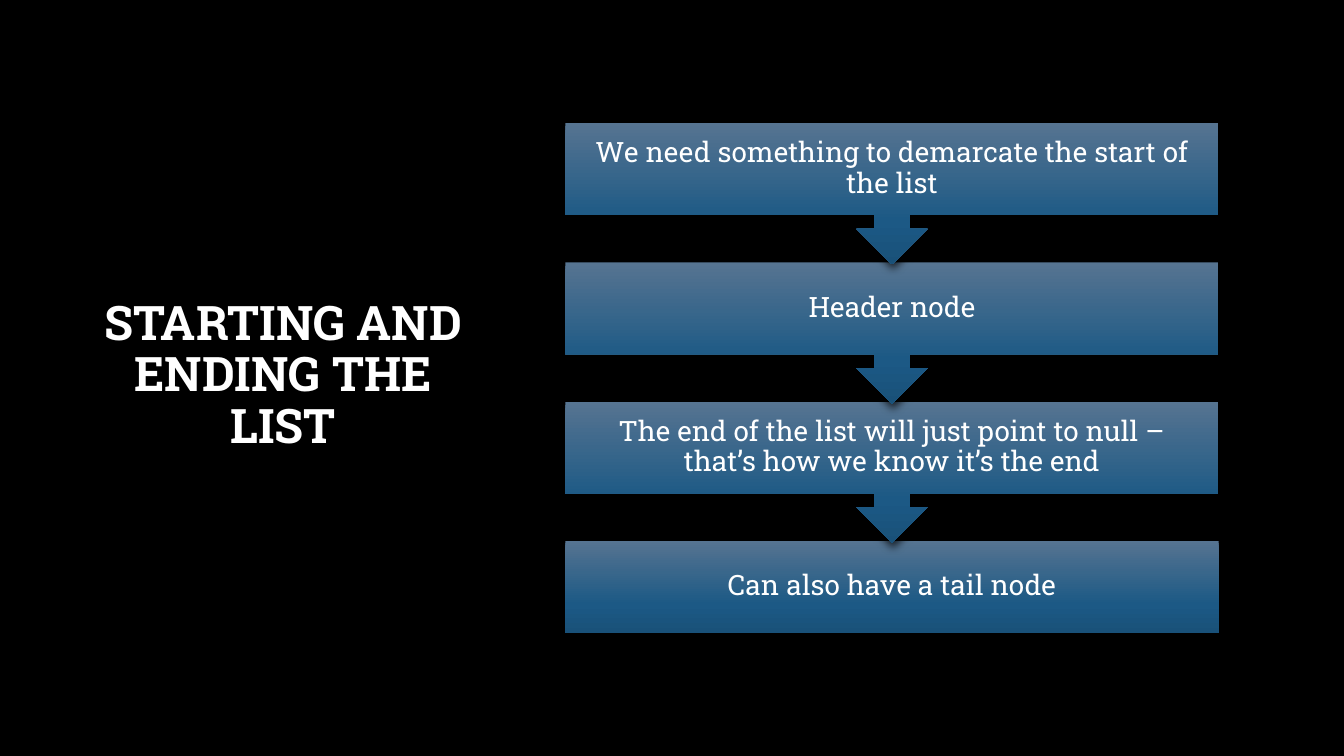
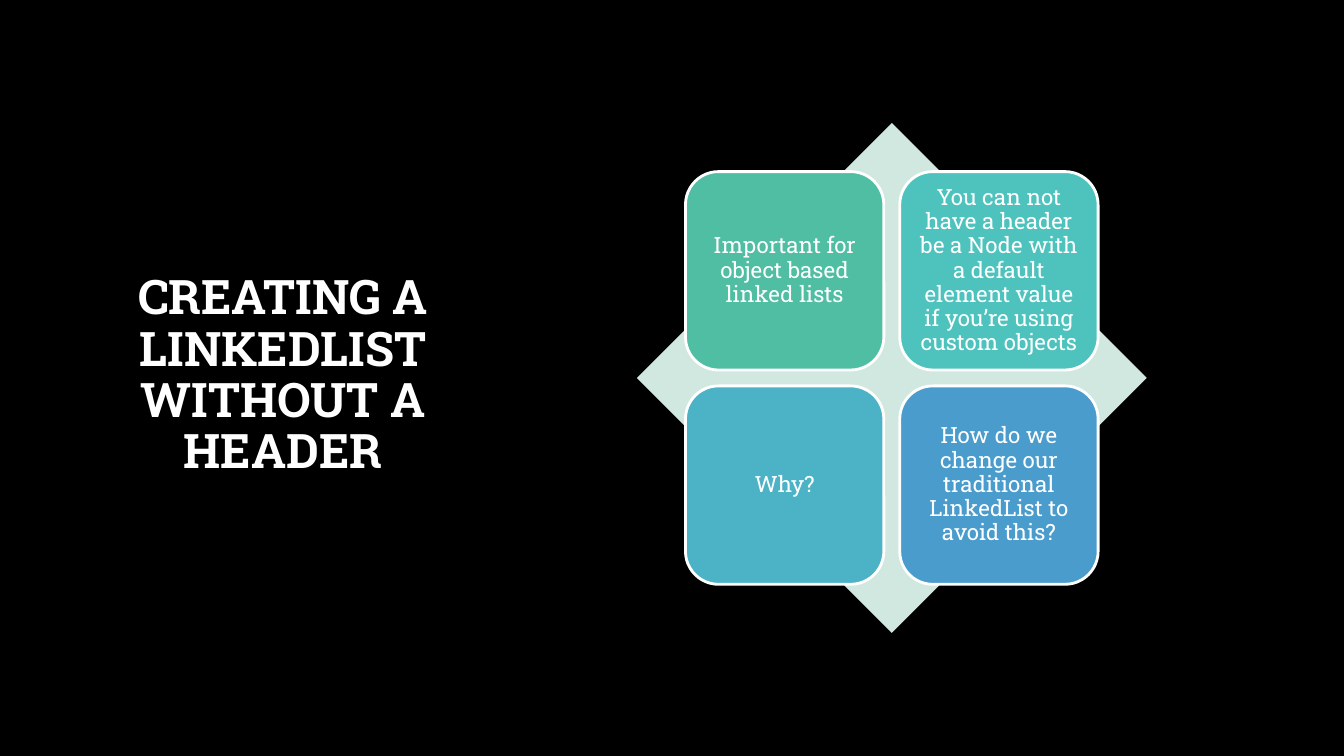
from copy import deepcopy

from lxml.etree import SubElement
from pptx import Presentation
from pptx.dml.color import RGBColor
from pptx.enum.shapes import MSO_SHAPE
from pptx.enum.text import MSO_ANCHOR, PP_ALIGN
from pptx.oxml.ns import qn
from pptx.util import Cm, Pt

# Content
STEPS_TITLE = "STARTING AND ENDING THE LIST"
STEPS = [
    "We need something to demarcate the start of the list",
    "Header node",
    "The end of the list will just point to null – that’s how we know it’s the end",
    "Can also have a tail node",
]
TILES_TITLE = "CREATING A LINKEDLIST WITHOUT A HEADER"
TILES = [
    ("Important for object based linked lists", "green"),
    ("You can not have a header be a Node with a default element value "
     "if you’re using custom objects", "turquoise"),
    ("Why?", "cyan"),
    ("How do we change our traditional LinkedList to avoid this?", "blue"),
]

# Shared style
FONT = "Roboto Slab"
COLORS = {
    "background": "000000", "text": "FFFFFF", "shadow": "000000",
    "step_top": "567491", "step_middle": "1C5985", "step_bottom": "195179",
    "diamond": "D0E8E0", "green": "50BEA3", "turquoise": "4EC3BE",
    "cyan": "4CB3C7", "blue": "4A9CCC",
}
STEP_GRADIENT = [(0, "step_top"), (0.69, "step_middle"), (1, "step_bottom")]

# Geometry in centimetres
DIAGRAM_TOP = 3.1
STEP_LEFT, STEP_WIDTH, STEP_PITCH = 14.25, 16.46, 3.51
BODY_HEIGHT, CALLOUT_HEIGHT = 2.31, 3.56
DIAMOND_LEFT, DIAMOND_SIZE = 16.05, 12.85
TILE_SIZE, TILE_GAP = 5, 0.4


def color(name):
    return RGBColor.from_string(COLORS[name])


def write(shape, text, size, inset=None, bold=False):
    frame = shape.text_frame
    frame.word_wrap = True
    frame.vertical_anchor = MSO_ANCHOR.MIDDLE
    if inset is not None:
        frame.margin_left = frame.margin_right = Cm(inset)
        frame.margin_top = frame.margin_bottom = Cm(inset)
    para = frame.paragraphs[0]
    para.text = text
    para.alignment = PP_ALIGN.CENTER
    para.line_spacing = 0.9
    para.font.name = FONT
    para.font.size = Pt(size)
    para.font.bold = bold
    para.font.color.rgb = color("text")


def add_page(deck, title):
    page = deck.slides.add_slide(deck.slide_layouts[6])
    page.background.fill.solid()
    page.background.fill.fore_color.rgb = color("background")
    box = page.shapes.add_textbox(Cm(2.08), Cm(1.7), Cm(10.11), Cm(15.57))
    write(box, title, 34, bold=True)
    return page


def add_block(page, kind, left, top, width, height, fill=None):
    block = page.shapes.add_shape(kind, Cm(left), Cm(top), Cm(width), Cm(height))
    block.shadow.inherit = False
    block.line.fill.background()
    if fill:
        block.fill.solid()
        block.fill.fore_color.rgb = color(fill)
    return block


def fill_gradient(shape, stops):
    shape.fill.gradient()
    shape.fill.gradient_angle = 270
    stop_list = shape.element.xpath(".//a:gsLst")[0]
    stop_list.insert(1, deepcopy(stop_list[0]))
    for stop, (position, name) in zip(shape.fill.gradient_stops, stops):
        stop.position = position
        stop.color.rgb = color(name)


def add_shadow(shape):
    effects = shape.element.spPr.find(qn("a:effectLst"))
    shadow = SubElement(effects, qn("a:outerShdw"), blurRad=str(Pt(6)),
                        dist=str(Pt(3)), dir="5400000", rotWithShape="0")
    tint = SubElement(shadow, qn("a:srgbClr"), val=COLORS["shadow"])
    SubElement(tint, qn("a:alpha"), val="76000")


deck = Presentation()
deck.slide_width, deck.slide_height = Cm(33.87), Cm(19.05)

# Steps, stacked from the last so that each arrow overlaps the next step
page = add_page(deck, STEPS_TITLE)
last = len(STEPS) - 1
for index in range(last, -1, -1):
    if index == last:
        kind, height = MSO_SHAPE.RECTANGLE, BODY_HEIGHT
    else:
        kind, height = MSO_SHAPE.DOWN_ARROW_CALLOUT, CALLOUT_HEIGHT
    step = add_block(page, kind, STEP_LEFT, DIAGRAM_TOP + index * STEP_PITCH,
                     STEP_WIDTH, height)
    fill_gradient(step, STEP_GRADIENT)
    add_shadow(step)
    write(step, STEPS[index], 20, inset=0.4)

# Two by two tiles, centred on a diamond
page = add_page(deck, TILES_TITLE)
add_block(page, MSO_SHAPE.DIAMOND, DIAMOND_LEFT, DIAGRAM_TOP,
          DIAMOND_SIZE, DIAMOND_SIZE, "diamond")
margin = (DIAMOND_SIZE - 2 * TILE_SIZE - TILE_GAP) / 2
for index, (text, fill) in enumerate(TILES):
    row, column = divmod(index, 2)
    tile = add_block(page, MSO_SHAPE.ROUNDED_RECTANGLE,
                     DIAMOND_LEFT + margin + column * (TILE_SIZE + TILE_GAP),
                     DIAGRAM_TOP + margin + row * (TILE_SIZE + TILE_GAP),
                     TILE_SIZE, TILE_SIZE, fill)
    tile.line.color.rgb = color("text")
    tile.line.width = Pt(2)
    write(tile, text, 16, inset=0.18)

deck.save("out.pptx")
